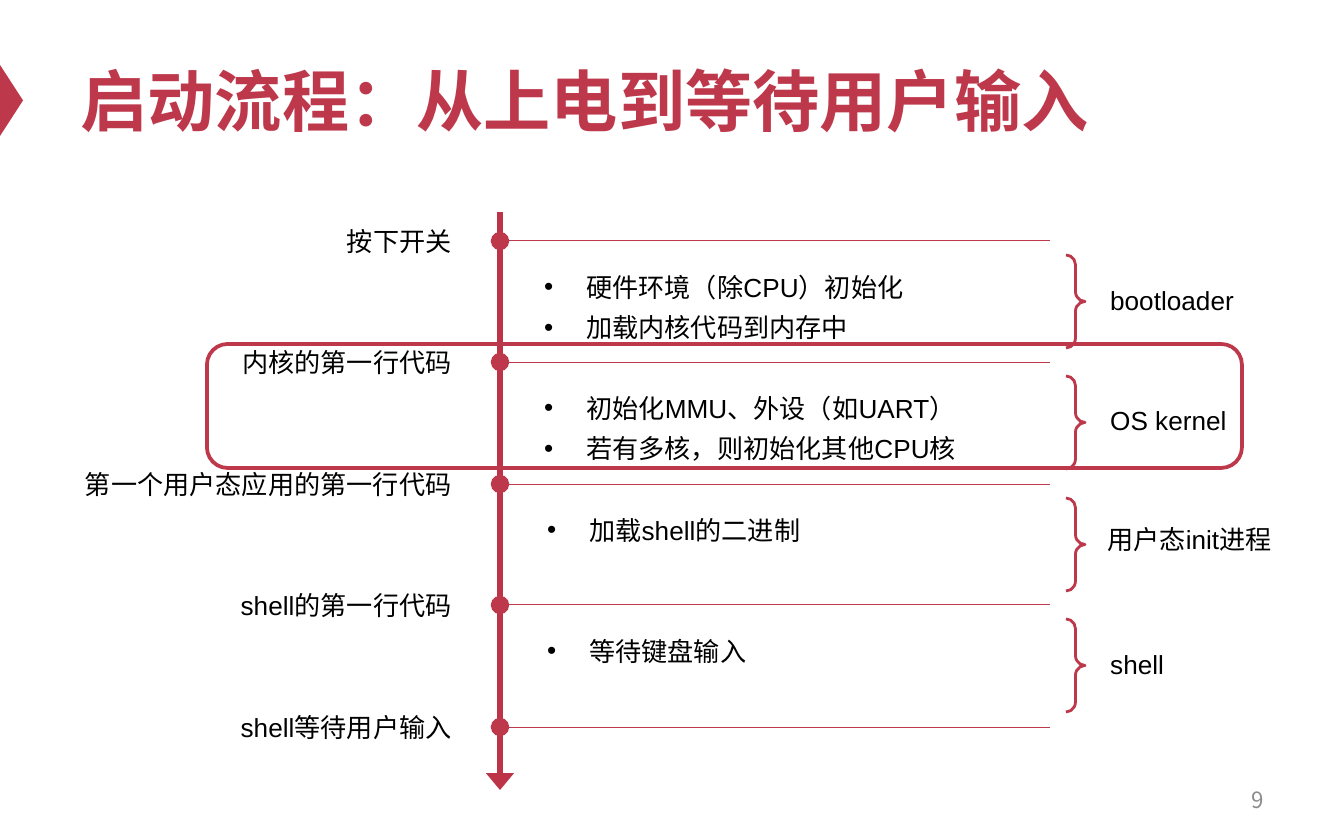
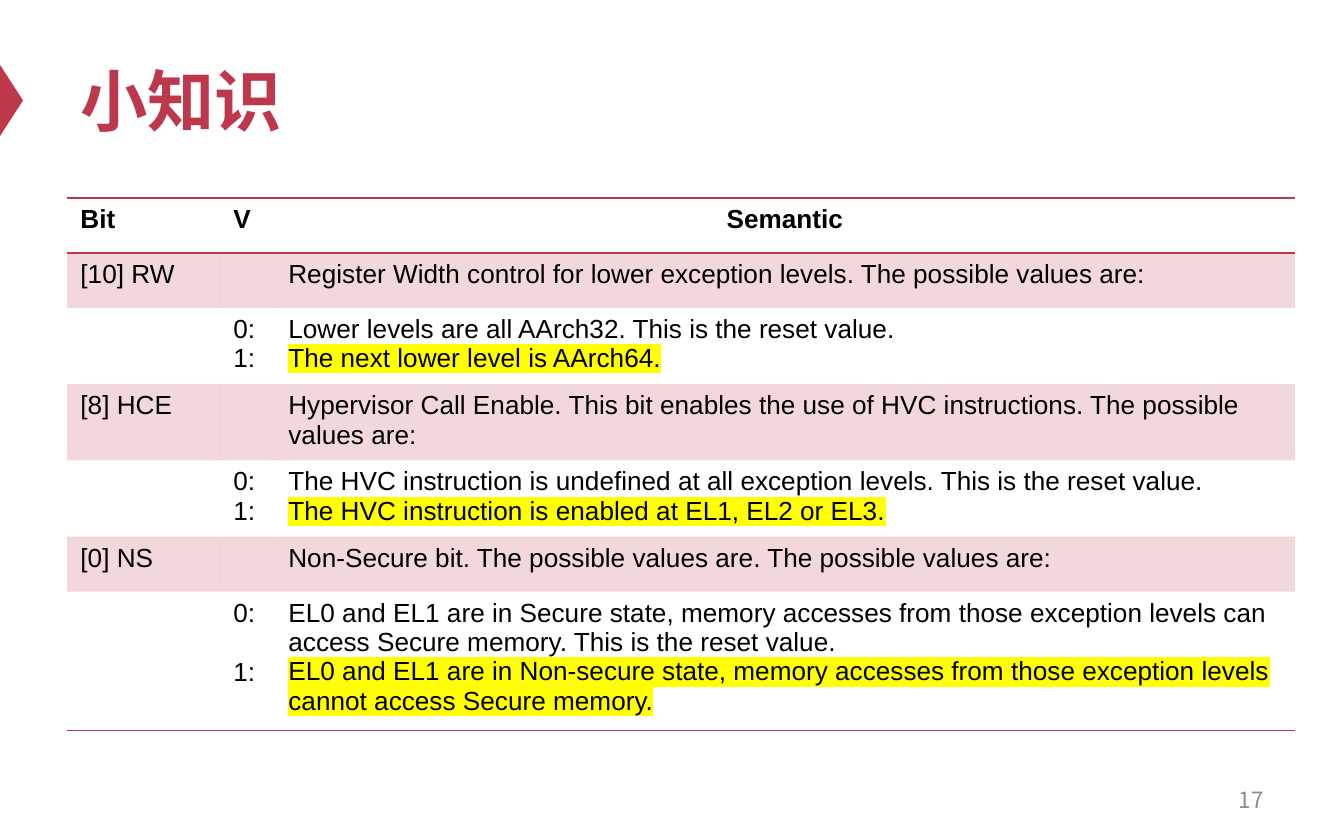
from lxml import etree
from pptx import Presentation
from pptx.dml.color import RGBColor
from pptx.enum.lang import MSO_LANGUAGE_ID
from pptx.enum.shapes import MSO_CONNECTOR, MSO_SHAPE
from pptx.enum.text import MSO_ANCHOR, PP_ALIGN
from pptx.oxml.ns import qn
from pptx.util import Pt

PX = 914400 / 134.4
RED = RGBColor(0xBE, 0x38, 0x4B)
AXIS_RED = RGBColor(0xBD, 0x33, 0x47)
BLACK = RGBColor(0, 0, 0)
GRAY = RGBColor(0x8C, 0x8C, 0x8C)
YELLOW = RGBColor(0xFF, 0xFF, 0)
FONT = "Arial"
NUMBER_FONT = "Noto Sans CJK SC"
NO_STYLE = "{2D5ABB26-0587-4C30-8999-92F81FD0307C}"

AXIS_X = 500
LABEL_RIGHT = 465
# Milestones on the time axis: text, box width
MILESTONES = [
    ("按下开关", 134),
    ("内核的第一行代码", 239),
    ("第一个用户态应用的第一行代码", 397),
    ("shell的第一行代码", 239),
    ("shell等待用户输入", 239),
]
# Stages between milestones: bullets, bullet left, name, name left, drop, width
STAGES = [
    (["硬件环境（除CPU）初始化", "加载内核代码到内存中"], 531, "bootloader", 1097, 37, 153),
    (["初始化MMU、外设（如UART）", "若有多核，则初始化其他CPU核"], 531, "OS kernel", 1097, 36, 145),
    (["加载shell的二进制"], 534, "用户态init进程", 1094, 33, 192),
    (["等待键盘输入"], 534, "shell", 1097, 37, 83),
]

COLUMNS = [153, 55, 1020]
REGISTER_ROWS = [
    (["Bit"], ["V"], ["Semantic"]),
    (["[10] RW"], [],
     ["Register Width control for lower exception levels. The possible values are:"]),
    ([], ["0:", "1:"],
     ["Lower levels are all AArch32. This is the reset value.",
      "The next lower level is AArch64."]),
    (["[8] HCE"], [],
     ["Hypervisor Call Enable. This bit enables the use of HVC instructions. "
      "The possible values are:"]),
    ([], ["0:", "1:"],
     ["The HVC instruction is undefined at all exception levels. This is the reset value.",
      "The HVC instruction is enabled at EL1, EL2 or EL3."]),
    (["[0] NS"], [],
     ["Non-Secure bit. The possible values are. The possible values are:"]),
    ([], ["0:", "1:"],
     ["EL0 and EL1 are in Secure state, memory accesses from those exception levels "
      "can access Secure memory. This is the reset value.",
      "EL0 and EL1 are in Non-secure state, memory accesses from those exception levels "
      "cannot access Secure memory."]),
]


def emu(*lengths):
    return [round(n * PX) for n in lengths]


def add_xml(parent, tag, **attrs):
    return etree.SubElement(parent, qn(tag), attrs)


def format_runs(p, size=14, color=BLACK, bold=False, font=FONT):
    for r in p.runs:
        r.font.size = Pt(size)
        r.font.bold = bold
        r.font.color.rgb = color
        r.font.name = font
        r.font.language_id = MSO_LANGUAGE_ID.SIMPLIFIED_CHINESE
        add_xml(r.font._element, "a:ea", typeface=font)


def highlight(p):
    for r in p.runs:
        mark = etree.Element(qn("a:highlight"))
        add_xml(mark, "a:srgbClr", val=str(YELLOW))
        r.font._element.find(qn("a:solidFill")).addnext(mark)


def add_text(slide, text, box, align=PP_ALIGN.LEFT, anchor=MSO_ANCHOR.TOP, **style):
    tf = slide.shapes.add_textbox(*emu(*box)).text_frame
    tf.word_wrap = True
    tf.vertical_anchor = anchor
    p = tf.paragraphs[0]
    p.text = text
    p.alignment = align
    format_runs(p, **style)


def add_bullets(slide, items, box):
    tf = slide.shapes.add_textbox(*emu(*box)).text_frame
    tf.word_wrap = True
    for i, item in enumerate(items):
        p = tf.add_paragraph() if i else tf.paragraphs[0]
        pPr = p._p.get_or_add_pPr()
        indent = round(42 * PX)
        pPr.set("marL", str(indent))
        pPr.set("indent", str(-indent))
        add_xml(pPr, "a:buFont", typeface=FONT)
        add_xml(pPr, "a:buChar", char="•")
        p.text = item
        p.line_spacing = 1.3
        format_runs(p)


def add_line(slide, ends, color, width, end_tag, end_type, end_length):
    line = slide.shapes.add_connector(MSO_CONNECTOR.STRAIGHT, *emu(*ends))
    line.line.color.rgb = color
    line.line.width = Pt(width)
    add_xml(line.line._get_or_add_ln(), end_tag, type=end_type, w="lg", len=end_length)
    add_xml(line._element.spPr, "a:effectLst")


def add_outline(slide, preset, box, width):
    sp = slide.shapes.add_shape(preset, *emu(*box))
    sp.shadow.inherit = False
    sp.fill.background()
    sp.line.color.rgb = RED
    sp.line.width = Pt(width)
    return sp


def add_slide(prs, title, number):
    slide = prs.slides.add_slide(prs.slide_layouts[5])
    # Arrow at the left edge
    sp = slide.shapes.add_shape(MSO_SHAPE.ISOSCELES_TRIANGLE, *emu(-24, 89, 71, 23))
    sp.rotation = 90
    sp.shadow.inherit = False
    sp.fill.solid()
    sp.fill.fore_color.rgb = RED
    sp.line.fill.background()
    # Title
    sp = slide.shapes.title
    sp.left, sp.top, sp.width, sp.height = emu(67, 34, 1210, 132)
    tf = sp.text_frame
    tf.text = title
    tf.vertical_anchor = MSO_ANCHOR.MIDDLE
    tf.paragraphs[0].alignment = PP_ALIGN.LEFT
    format_runs(tf.paragraphs[0], 36, RED, True)
    # Page number
    add_text(slide, number, (964, 778, 313, 44), PP_ALIGN.RIGHT, MSO_ANCHOR.MIDDLE,
             size=12, color=GRAY, font=NUMBER_FONT)
    return slide


def milestone_y(i):
    return 241 + 243 * i // 2


def build_boot_flow(prs):
    slide = add_slide(prs, "启动流程：从上电到等待用户输入", "9")
    add_line(slide, (AXIS_X, 212, AXIS_X, 790), AXIS_RED, 3, "a:tailEnd", "triangle", "med")
    for i, (text, width) in enumerate(MILESTONES):
        y = milestone_y(i)
        add_text(slide, text, (LABEL_RIGHT - width, y - 22, width, 46), PP_ALIGN.RIGHT)
        add_line(slide, (AXIS_X, y, 1050, y), RED, 0.5, "a:headEnd", "oval", "lg")
    for i, (items, left, name, name_left, drop, width) in enumerate(STAGES):
        y = milestone_y(i)
        add_bullets(slide, items, (left, y + 14, 520, 11 + 40 * len(items)))
        brace = add_outline(slide, MSO_SHAPE.RIGHT_BRACE, (1066, y + 14, 19, 93), 1.5)
        brace.adjustments[0] = 0.52
        add_text(slide, name, (name_left, y + drop, width, 46))
    # Frame around the kernel stage
    add_outline(slide, MSO_SHAPE.ROUNDED_RECTANGLE, (207, 344, 1035, 124), 2)


def add_border(cell, tag):
    ln = etree.Element(qn(tag), w=str(Pt(1)))
    add_xml(add_xml(ln, "a:solidFill"), "a:srgbClr", val=str(RED))
    return ln


def style_cell(cell, tinted, border_tags):
    if tinted:
        cell.fill.solid()
        cell.fill.fore_color.rgb = RED
        color = cell._tc.tcPr.find(".//" + qn("a:srgbClr"))
        add_xml(color, "a:alpha", val="20000")
    else:
        cell.fill.background()
    for i, tag in enumerate(border_tags):
        cell._tc.tcPr.insert(i, add_border(cell, tag))


def fill_cell(cell, lines, header, semantic):
    tf = cell.text_frame
    for i, line in enumerate(lines):
        p = tf.add_paragraph() if i else tf.paragraphs[0]
        p.text = line
        format_runs(p, bold=header)
        if header and semantic:
            p.alignment = PP_ALIGN.CENTER
        if i and semantic:
            highlight(p)


def build_register_table(prs):
    slide = add_slide(prs, "小知识", "17")
    rows = len(REGISTER_ROWS)
    frame = slide.shapes.add_table(rows, len(COLUMNS), *emu(67, 198, sum(COLUMNS), 55 * rows))
    table = frame.table
    table.first_row = table.horz_banding = False
    table._tbl.tblPr.find(qn("a:tableStyleId")).text = NO_STYLE
    for column, width in zip(table.columns, COLUMNS):
        column.width = round(width * PX)
    for i, row in enumerate(REGISTER_ROWS):
        borders = {0: ["a:lnT", "a:lnB"], rows - 1: ["a:lnB"]}.get(i, [])
        for j, lines in enumerate(row):
            cell = table.cell(i, j)
            fill_cell(cell, lines, i == 0, j == 2)
            style_cell(cell, i % 2 == 1, borders)
    # The last "1:" stands beside the third line of its meaning
    table.cell(rows - 1, 1).text_frame.paragraphs[1].space_before = Pt(16)


def main():
    prs = Presentation()
    prs.slide_width, prs.slide_height = emu(1344, 840)
    build_boot_flow(prs)
    build_register_table(prs)
    prs.save("out.pptx")


if __name__ == "__main__":
    main()
